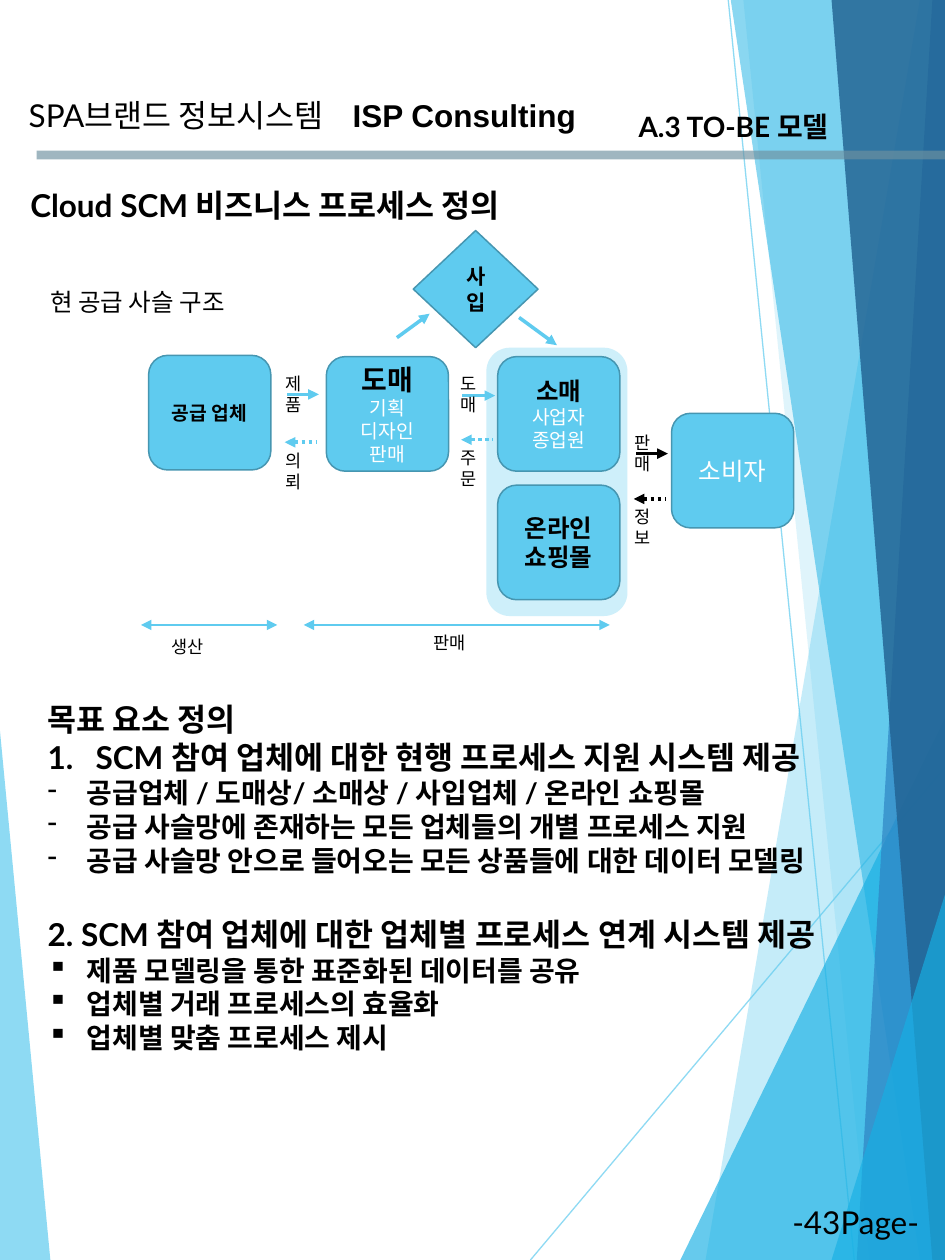
from lxml.etree import SubElement
from pptx import Presentation
from pptx.dml.color import RGBColor
from pptx.enum.dml import MSO_LINE
from pptx.enum.shapes import MSO_CONNECTOR, MSO_SHAPE
from pptx.enum.text import MSO_ANCHOR, MSO_AUTO_SIZE, PP_ALIGN
from pptx.oxml.ns import qn
from pptx.util import Inches, Pt

COLORS = {
    "sky": "5FCBEF", "edge": "4696B1", "cyan": "17B0E4", "blue": "2E83C3",
    "navy": "226292", "bar": "6E91A0", "black": "000000", "white": "FFFFFF",
}

deck = Presentation()
deck.slide_width, deck.slide_height = Inches(7.5), Inches(10)
column, row = deck.slide_width / 75, deck.slide_height / 100
page = deck.slides.add_slide(deck.slide_layouts[5])
shapes = page.shapes
translucent = []


def write(frame, text, size=18, color="black", bold=False, font="Lato",
          align=PP_ALIGN.LEFT, bullet=None, indent=0.31, before=0):
    para = frame.paragraphs[0]
    if para.runs:
        para = frame.add_paragraph()
    para.alignment = align
    if before:
        para.space_before = Pt(before)
    if bullet:
        properties = para._p.get_or_add_pPr()
        properties.set("marL", str(Inches(indent)))
        properties.set("indent", str(-Inches(indent)))
        if bullet == "1.":
            SubElement(properties, qn("a:buAutoNum"), type="arabicPeriod")
        else:
            SubElement(properties, qn("a:buChar"), char=bullet)
    span = para.add_run()
    span.text = text
    span.font.name = font
    span.font.size = Pt(size)
    span.font.bold = bold
    span.font.color.rgb = RGBColor.from_string(COLORS[color])


def connect(x1, y1, x2, y2, color="sky", width=2, heads=(), dotted=False):
    line = shapes.add_connector(
        MSO_CONNECTOR.STRAIGHT,
        int(x1 * column), int(y1 * row), int(x2 * column), int(y2 * row))
    line.line.color.rgb = RGBColor.from_string(COLORS[color])
    line.line.width = Pt(width)
    if dotted:
        line.line.dash_style = MSO_LINE.ROUND_DOT
    for head in heads:
        SubElement(line.line._get_or_add_ln(), qn(f"a:{head}"), type="triangle")
    SubElement(line._element.spPr, qn("a:effectLst"))
    return line


for ends in [(42.1, 100, 75, 60.9), (57.8, 0, 67.8, 100)]:
    translucent.append((connect(*ends, width=0.75), 70))

facets = [
    ([(0, 58.5), (3.7, 100), (0, 100)], "sky", 70),
    ([(73.1, 0), (56.5, 100), (75, 100), (75, 0)], "sky", 36),
    ([(59.1, 0), (69, 100), (75, 100), (75, 0)], "sky", 20),
    ([(54.4, 100), (75, 57.2), (75, 100)], "cyan", 66),
    ([(57.5, 0), (72.7, 100), (75, 100), (75, 0)], "cyan", 50),
    ([(73.6, 0), (68, 100), (75, 100), (75, 0)], "blue", 70),
    ([(66.4, 0), (74.1, 100), (75, 100), (75, 0)], "navy", 82),
    ([(66.2, 100), (75, 71.4), (75, 100)], "cyan", 66),
]
for points, color, opacity in facets:
    builder = shapes.build_freeform(*points[0], scale=(column, row))
    builder.add_line_segments(points[1:], close=True)
    facet = builder.convert_to_shape()
    facet.shadow.inherit = False
    facet.fill.solid()
    facet.fill.fore_color.rgb = RGBColor.from_string(COLORS[color])
    facet.line.fill.background()
    translucent.append((facet, opacity))

translucent.append((connect(2.9, 12.3, 75, 12.3, "bar", 5), 66))

title = shapes.title
title.left, title.top = int(1.4 * column), int(14.3 * row)
title.width, title.height = int(41.1 * column), int(4 * row)
title.text_frame.word_wrap = True
title.text_frame.auto_size = MSO_AUTO_SIZE.NONE
title.text_frame.vertical_anchor = MSO_ANCHOR.TOP
write(title.text_frame, "Cloud SCM 비즈니스 프로세스 정의", bold=True)

panel = shapes.add_shape(MSO_SHAPE.ROUNDED_RECTANGLE, int(38.6 * column),
                         int(27.6 * row), int(11.2 * column), int(21.3 * row))
panel.shadow.inherit = False
panel.fill.solid()
panel.fill.fore_color.rgb = RGBColor.from_string(COLORS["sky"])
panel.line.fill.background()
translucent.append((panel, 30))

rounded, diamond = MSO_SHAPE.ROUNDED_RECTANGLE, MSO_SHAPE.DIAMOND
nodes = [
    (rounded, 11.8, 28.2, 9.7, 9.1, 11, ["공급 업체"], []),
    (rounded, 25.9, 28.3, 9.7, 9.1, 16, ["도매"], ["기획", "디자인", "판매"]),
    (rounded, 39.5, 28.3, 9.7, 9.1, 14, ["소매"], ["사업자", "종업원"]),
    (rounded, 39.5, 38.5, 9.7, 9.1, 14, ["온라인", "쇼핑몰"], []),
    (rounded, 53.3, 32.8, 9.7, 9.1, 14, [], ["소비자"]),
    (diamond, 32.8, 18.3, 9.9, 9.3, 12, ["사입"], []),
]
for kind, x, y, width, height, size, names, details in nodes:
    node = shapes.add_shape(kind, int(x * column), int(y * row),
                            int(width * column), int(height * row))
    node.shadow.inherit = False
    node.fill.solid()
    node.fill.fore_color.rgb = RGBColor.from_string(COLORS["sky"])
    node.line.color.rgb = RGBColor.from_string(COLORS["edge"])
    node.line.width = Pt(0.85)
    node.text_frame.word_wrap = True
    node.text_frame.vertical_anchor = MSO_ANCHOR.MIDDLE
    for name in names:
        write(node.text_frame, name, size=size, bold=True, align=PP_ALIGN.CENTER)
    for detail in details:
        write(node.text_frame, detail, size=11 if names else size,
              color="white", align=PP_ALIGN.CENTER)

for x, y, length, color in [(22.8, 31.3, 2.5, "sky"), (36.7, 31.4, 2.6, "sky"),
                            (50.5, 36, 2.5, "black")]:
    connect(x, y, x + length, y, color, heads=["tailEnd"])
for x, y, color in [(22.6, 35.1, "sky"), (36.6, 34.9, "sky"), (50.3, 39.6, "black")]:
    connect(x, y, x + 2.5, y, color, heads=["headEnd"], dotted=True)
for ends in [(31.5, 26.8, 34.1, 24.9), (41.2, 25.2, 44.2, 27.4)]:
    connect(*ends, heads=["tailEnd"])
for left, right in [(11.2, 22), (24.1, 48.4)]:
    connect(left, 49.6, right, 49.6, width=0.75, heads=["headEnd", "tailEnd"])

small = {"size": 10}
labels = [
    ("ISP Consulting", 27, 7.1, 22, 4, {"font": "Arial", "bold": True}),
    ("SPA브랜드 정보시스템", 1.3, 7.1, 27.4, 4, {}),
    ("A.3 TO-BE 모델", 49.7, 8.2, 19, 3.7, {"size": 16, "bold": True}),
    ("현 공급 사슬 구조", 3, 22.3, 29.8, 3.4, {"size": 14}),
    ("생산", 12.6, 50, 8.9, 2.2, small),
    ("판매", 33.4, 49.7, 10.7, 2.2, small),
    ("제품", 21.7, 29.1, 4.2, 2.2, small),
    ("의뢰", 21.7, 35.2, 4.2, 2.2, small),
    ("도매", 35.6, 29.1, 4.2, 2.2, small),
    ("주문", 35.6, 35, 4.2, 2.2, small),
    ("판매", 49.4, 33.8, 4.2, 2.2, small),
    ("정보", 49.4, 39.7, 4.2, 2.2, small),
    ("-43Page-", 61.9, 95, 13, 4, {}),
]
for text, x, y, width, height, style in labels:
    box = shapes.add_textbox(int(x * column), int(y * row),
                             int(width * column), int(height * row))
    box.text_frame.word_wrap = True
    write(box.text_frame, text, **style)

goals = shapes.add_textbox(int(2.8 * column), int(55.1 * row),
                           int(68.1 * column), int(32 * row))
goals.text_frame.word_wrap = True
dash = {"size": 16, "bullet": "-"}
square = {"size": 16, "bullet": "▪"}
for text, style in [
    ("목표 요소 정의", {}),
    ("SCM 참여 업체에 대한 현행 프로세스 지원 시스템 제공",
     {"bullet": "1.", "indent": 0.38}),
    ("공급업체 / 도매상/ 소매상 / 사입업체 / 온라인 쇼핑몰", dash),
    ("공급 사슬망에 존재하는 모든 업체들의 개별 프로세스 지원", dash),
    ("공급 사슬망 안으로 들어오는 모든 상품들에 대한 데이터 모델링", dash),
    ("2. SCM 참여 업체에 대한 업체별 프로세스 연계 시스템 제공", {"before": 22}),
    ("제품 모델링을 통한 표준화된 데이터를 공유", square),
    ("업체별 거래 프로세스의 효율화", square),
    ("업체별 맞춤 프로세스 제시", square),
]:
    write(goals.text_frame, text, bold=True, **style)

for shape, opacity in translucent:
    for tint in shape._element.iter(qn("a:srgbClr")):
        SubElement(tint, qn("a:alpha"), val=str(opacity * 1000))

deck.save("out.pptx")
